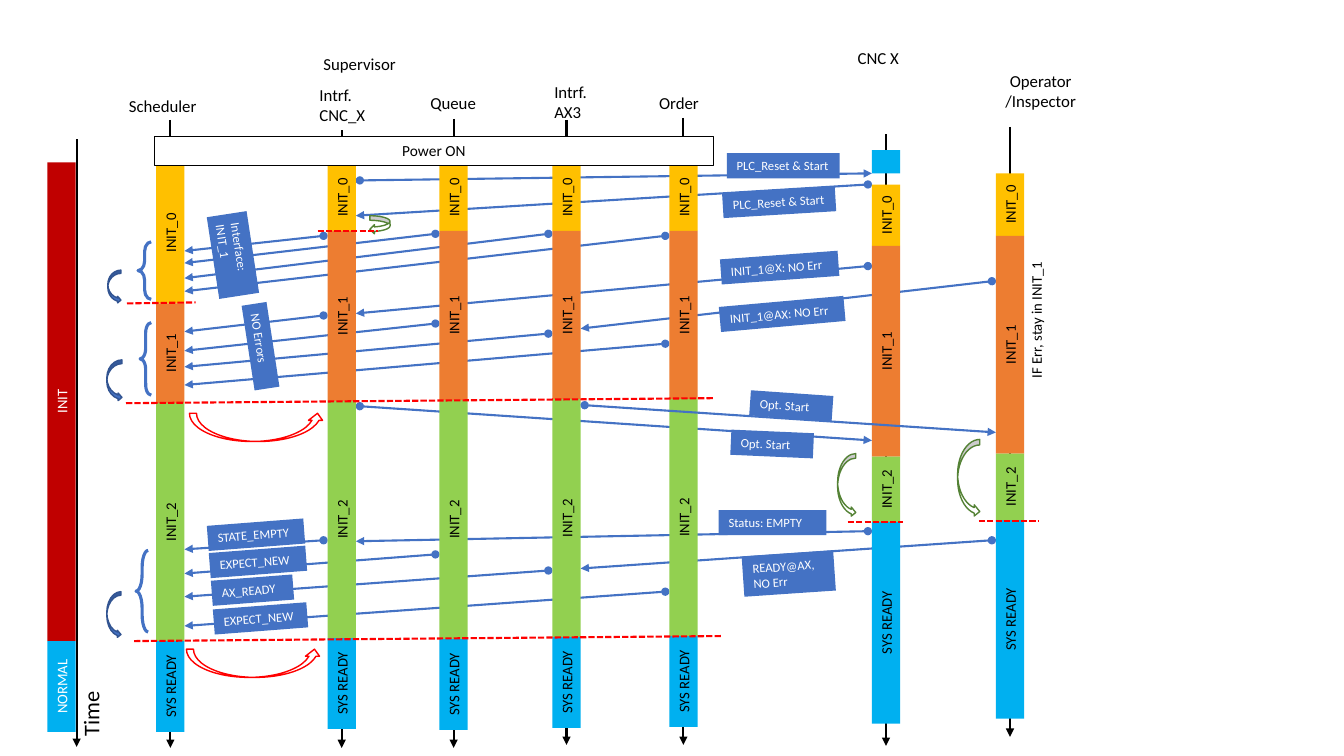
"""Build a start-up sequence diagram on a grid of tenth-inch columns and rows."""
from dataclasses import dataclass
from typing import Any, NamedTuple, Optional

from lxml import etree
from pptx import Presentation
from pptx import util as u
from pptx.dml import color
from pptx.enum import dml, shapes, text
from pptx.oxml import ns

COLUMNS, ROWS = 133.33, 75
BAR_WIDTH, SEND_GAP, ARRIVE_GAP = 2.8, 1.8, 1.4
CURVED = shapes.MSO_SHAPE.CURVED_RIGHT_ARROW
BRACE = shapes.MSO_SHAPE.LEFT_BRACE


@dataclass(frozen=True)
class Theme:
    """Colours and type sizes of the slide."""
    font: str = "Calibri"
    black: str = "000000"
    white: str = "FFFFFF"
    blue: str = "4472C4"
    navy: str = "325491"
    sky: str = "00B0F0"
    amber: str = "FFC000"
    orange: str = "ED7D31"
    lime: str = "92D050"
    green: str = "548235"
    crimson: str = "C00000"
    red: str = "FF0000"
    tag: float = 9
    stage: float = 10.5
    power: float = 11
    heading: float = 12
    axis: float = 16


THEME = Theme()


class Stage(NamedTuple):
    """A named phase of a lifeline."""
    name: str
    fill: str
    ink: str = THEME.black


@dataclass(frozen=True)
class Lifeline:
    """A vertical time arrow with adjoining stage bars between bounds."""
    column: float
    top: float
    bottom: float
    bounds: tuple[float, ...]
    stages: tuple[Stage, ...] = (Stage("INIT_0", THEME.amber), Stage("INIT_1", THEME.orange),
                                 Stage("INIT_2", THEME.lime), Stage("SYS READY", THEME.sky))
    line_shift: float = 0


class Message(NamedTuple):
    """An arrow from one lifeline to another."""
    sender: Lifeline
    receiver: Lifeline
    sent: float
    received: float


class Note(NamedTuple):
    """A piece of text in a plain or filled box."""
    content: str
    left: float
    top: float
    width: float
    height: float
    turn: float = 0
    size: float = THEME.tag
    fill: Optional[str] = THEME.blue
    ink: str = THEME.white
    align: text.PP_ALIGN = text.PP_ALIGN.LEFT
    line: Optional[str] = None


class Mark(NamedTuple):
    """A brace or curved arrow."""
    kind: shapes.MSO_SHAPE
    left: float
    top: float
    width: float
    height: float
    line: str
    fill: Optional[str] = None
    weight: float = 1
    bend: Optional[float] = None
    turn: float = 0
    mirrored: bool = False


TIME = Lifeline(6.1, 13.8, 74.1, (16.1, 63.6, 72.6), (
    Stage("INIT", THEME.crimson, THEME.white), Stage("NORMAL", THEME.sky, THEME.white)), 1.5)
SCHEDULER = Lifeline(16.9, 11.9, 74.2, (16.1, 30.1, 40, 63.6, 72.6))
CNC_LINK = Lifeline(33.9, 12.9, 74.2, (16.3, 22.9, 39.8, 63.3, 72.3))
QUEUE = Lifeline(45, 11.8, 74.2, (16.3, 22.9, 39.7, 63.4, 72.4))
ROBOT_LINK = Lifeline(56.2, 11.9, 73.9, (16.3, 22.9, 39.6, 63.2, 72.2))
ORDER = Lifeline(67.8, 11.7, 73.9, (16.3, 22.9, 39.6, 63.1, 72.1))
CNC = Lifeline(87.9, 13.3, 74, (18.3, 24.4, 45.3, 51.8, 71.8))
OPERATOR = Lifeline(100.2, 12.6, 73.1, (17.2, 23.4, 45, 51.6, 71.3))
LIFELINES = (TIME, SCHEDULER, CNC_LINK, QUEUE, ROBOT_LINK, ORDER, CNC, OPERATOR)

REPORTS = (
    ((23.4, 24.9), (23.2, 26.1), (23.2, 27.6), (23.4, 28.9)),
    ((31.3, 32.9), (32.1, 34.8), (33.1, 36.4), (34.1, 38.2)),
    ((53.6, 54.5), (55, 56.9), (56.6, 59.2), (58.7, 62.1)),
)
MESSAGES = [Message(sender, SCHEDULER, *rows) for report in REPORTS
            for sender, rows in zip((CNC_LINK, QUEUE, ROBOT_LINK, ORDER), report)] + [
    Message(CNC_LINK, CNC, 17.9, 17.2), Message(CNC, CNC_LINK, 18.3, 21.4),
    Message(CNC, CNC_LINK, 26.4, 31.1), Message(OPERATOR, ROBOT_LINK, 27.9, 32.6),
    Message(CNC_LINK, CNC, 40.3, 43.7), Message(CNC, CNC_LINK, 52.7, 53.7),
    Message(OPERATOR, ROBOT_LINK, 53.6, 56.4)]
OPERATOR_START = Message(ROBOT_LINK, OPERATOR, 40.2, 42.9)

TAGS = (
    Note("PLC_Reset & Start", 72.1, 15.2, 11.2, 2.5), Note("PLC_Reset & Start", 71.7, 18.8, 11.2, 2.5, -3.5),
    Note("INIT_1@X: NO Err", 71.5, 25.3, 11.7, 2.5, -4.2), Note("INIT_1@AX: NO Err", 71.4, 29.9, 12.4, 2.5, -5.1),
    Note("Interface: INIT_1", 19, 23.3, 8.2, 4, 81.3), Note("NO Errors", 21.6, 33.1, 8.5, 2.5, 81.3),
    Note("Opt. Start", 74.4, 39, 8.2, 2.5, 4), Note("Opt. Start", 72.5, 42.8, 8.2, 2.5, 2.5),
    Note("Status: EMPTY", 71.3, 50.6, 10.7, 2.5), Note("READY@AX, NO Err", 73.7, 54.9, 9.1, 4, -3.9),
    Note("STATE_EMPTY", 20.6, 51.8, 9.6, 2.5, -4.4), Note("EXPECT_NEW", 20.8, 54.5, 9.6, 2.5, -4.4),
    Note("AX_READY", 21, 57.3, 8.1, 2.5, -4.4), Note("EXPECT_NEW", 21.2, 60.1, 9.3, 2.5, -4.4),
)
PLAIN = {"fill": None, "ink": THEME.black}
HEADINGS = [Note(*place, size=THEME.heading, **PLAIN) for place in (
    ("Supervisor", 31.1, 4.8, 18.1, 3), ("CNC X", 84.1, 4.2, 6.9, 3), ("Scheduler", 11.8, 9, 11.5, 3),
    ("Intrf. CNC_X", 30.7, 7.9, 6.8, 5), ("Intrf. AX3", 54, 7.6, 6.5, 5),
    ("Queue", 41.7, 8.7, 6.8, 3), ("Order", 64.4, 8.7, 6.8, 3))] + [
    Note("Operator\n/Inspector", 98.6, 6.5, 9.3, 5, size=THEME.heading, align=text.PP_ALIGN.CENTER, **PLAIN),
    Note("Time", 3.2, 66.3, 11.7, 3.8, -90, THEME.axis, **PLAIN),
    Note("IF Err, stay in INIT_1", 95, 29.3, 15.6, 2.8, -90, THEME.stage, **PLAIN)]
POWER_ON = Note("Power ON", 15.3, 13.5, 55.5, 2.9, 0, THEME.power, THEME.white, THEME.black,
                text.PP_ALIGN.CENTER, THEME.black)
CNC_BOOT = Note("", 86.5, 14.9, BAR_WIDTH, 2.3, fill=THEME.sky)

MARKS = (
    Mark(BRACE, 13.7, 24, 1.3, 5.7, THEME.blue, weight=2.25, bend=0.73),
    Mark(BRACE, 13.9, 32, 1.1, 7.2, THEME.blue, weight=2.25, bend=0.94),
    Mark(BRACE, 13.5, 54.6, 1.2, 8.1, THEME.blue, weight=2.25, bend=1.42),
    Mark(CURVED, 10.7, 26.8, 1.3, 3.3, THEME.navy, THEME.blue),
    Mark(CURVED, 10.6, 35.7, 1.5, 4.1, THEME.navy, THEME.blue),
    Mark(CURVED, 10.6, 58.7, 1.4, 4.6, THEME.navy, THEME.blue),
    Mark(CURVED, 24.1, 35.7, 2.8, 13.4, THEME.red, turn=-90),
    Mark(CURVED, 23.8, 59.1, 2.8, 13.4, THEME.red, turn=-90),
    Mark(CURVED, 83.1, 45, 1.8, 6.3, THEME.green, THEME.white),
    Mark(CURVED, 95, 43.6, 2.2, 7.7, THEME.green, THEME.white),
    Mark(CURVED, 36.7, 21.4, 2, 1.8, THEME.green, THEME.white, mirrored=True),
)
BARRIERS = ((13.3, 63.6, 71.7, 63.1), (12.5, 40, 70.9, 39.5), (12.6, 30.1, 19.4, 30),
            (84.1, 51.8, 89.6, 51.8), (97.1, 51.7, 103, 51.7), (31.5, 22.9, 37.5, 22.9))


def cells(*counts: float) -> list[u.Emu]:
    """Turn grid counts into lengths."""
    return [u.Inches(count / 10) for count in counts]


def paint(shape: Any, fill: Optional[str], line: Optional[str], weight: float = 0.75) -> None:
    """Set fill and outline, or clear them."""
    for paint_format, tone in ((shape.fill, fill), (shape.line.fill, line)):
        if tone:
            paint_format.solid()
            paint_format.fore_color.rgb = color.RGBColor.from_string(tone)
        else:
            paint_format.background()
    if line:
        shape.line.width = u.Pt(weight)


def draw_line(slide: Any, ends: tuple[float, ...], tone: str, head: str = "", tail: str = "") -> Any:
    """Draw a straight line with optional arrowheads."""
    connector = slide.shapes.add_connector(shapes.MSO_CONNECTOR.STRAIGHT, *cells(*ends))
    connector.line.color.rgb = color.RGBColor.from_string(tone)
    connector.line.width = u.Pt(1.5)
    properties = connector.element.spPr
    for name, kind in (("a:headEnd", head), ("a:tailEnd", tail)):
        if kind:
            etree.SubElement(properties.find(ns.qn("a:ln")), ns.qn(name), type=kind)
    etree.SubElement(properties, ns.qn("a:effectLst"))
    return connector


def draw_note(slide: Any, note: Note) -> None:
    """Draw a text box, or a rectangle when it has a fill."""
    place = cells(note.left, note.top, note.width, note.height)
    if note.fill:
        shape = slide.shapes.add_shape(shapes.MSO_SHAPE.RECTANGLE, *place)
        shape.shadow.inherit = False
        paint(shape, note.fill, note.line)
    else:
        shape = slide.shapes.add_textbox(*place)
    shape.rotation = note.turn
    if not note.content:
        return
    frame = shape.text_frame
    frame.text = note.content
    frame.word_wrap = True
    frame.auto_size = text.MSO_AUTO_SIZE.SHAPE_TO_FIT_TEXT
    for paragraph in frame.paragraphs:
        paragraph.alignment = note.align
        for run in paragraph.runs:
            run.font.name, run.font.size = THEME.font, u.Pt(note.size)
            run.font.color.rgb = color.RGBColor.from_string(note.ink)


def draw_bars(slide: Any, lifeline: Lifeline) -> None:
    """Draw the upright stage bars of a lifeline."""
    for stage, top, bottom in zip(lifeline.stages, lifeline.bounds, lifeline.bounds[1:]):
        length = bottom - top
        draw_note(slide, Note(stage.name, lifeline.column - length / 2, (top + bottom - BAR_WIDTH) / 2,
                              length, BAR_WIDTH, -90, THEME.stage, stage.fill, stage.ink, text.PP_ALIGN.CENTER))


def draw_message(slide: Any, message: Message) -> None:
    """Draw a message arrow between the facing sides of two lifelines."""
    start, end = message.sender.column, message.receiver.column
    way = 1 if end > start else -1
    ends = (start + way * SEND_GAP, message.sent, end - way * ARRIVE_GAP, message.received)
    draw_line(slide, ends, THEME.blue, "oval", "triangle")


def draw_mark(slide: Any, mark: Mark) -> None:
    """Draw a brace or curved arrow."""
    shape = slide.shapes.add_shape(mark.kind, *cells(mark.left, mark.top, mark.width, mark.height))
    shape.shadow.inherit = False
    shape.rotation = mark.turn
    paint(shape, mark.fill, mark.line, mark.weight)
    if mark.bend:
        shape.adjustments[0] = mark.bend
    if mark.mirrored:
        shape.element.spPr.find(ns.qn("a:xfrm")).set("flipH", "1")


def main() -> None:
    """Draw the diagram from back to front and save it."""
    presentation = Presentation()
    presentation.slide_width, presentation.slide_height = cells(COLUMNS, ROWS)
    slide = presentation.slides.add_slide(presentation.slide_layouts[6])
    for lifeline in LIFELINES:
        axis = lifeline.column + lifeline.line_shift
        draw_line(slide, (axis, lifeline.top, axis, lifeline.bottom), THEME.black, tail="triangle")
    for message in MESSAGES:
        draw_message(slide, message)
    for lifeline in LIFELINES:
        draw_bars(slide, lifeline)
    for note in (*HEADINGS, *TAGS, POWER_ON, CNC_BOOT):
        draw_note(slide, note)
    for mark in MARKS:
        draw_mark(slide, mark)
    for barrier in BARRIERS:
        draw_line(slide, barrier, THEME.red).line.dash_style = dml.MSO_LINE.SQUARE_DOT
    draw_message(slide, OPERATOR_START)
    presentation.save("out.pptx")


if __name__ == "__main__":
    main()
